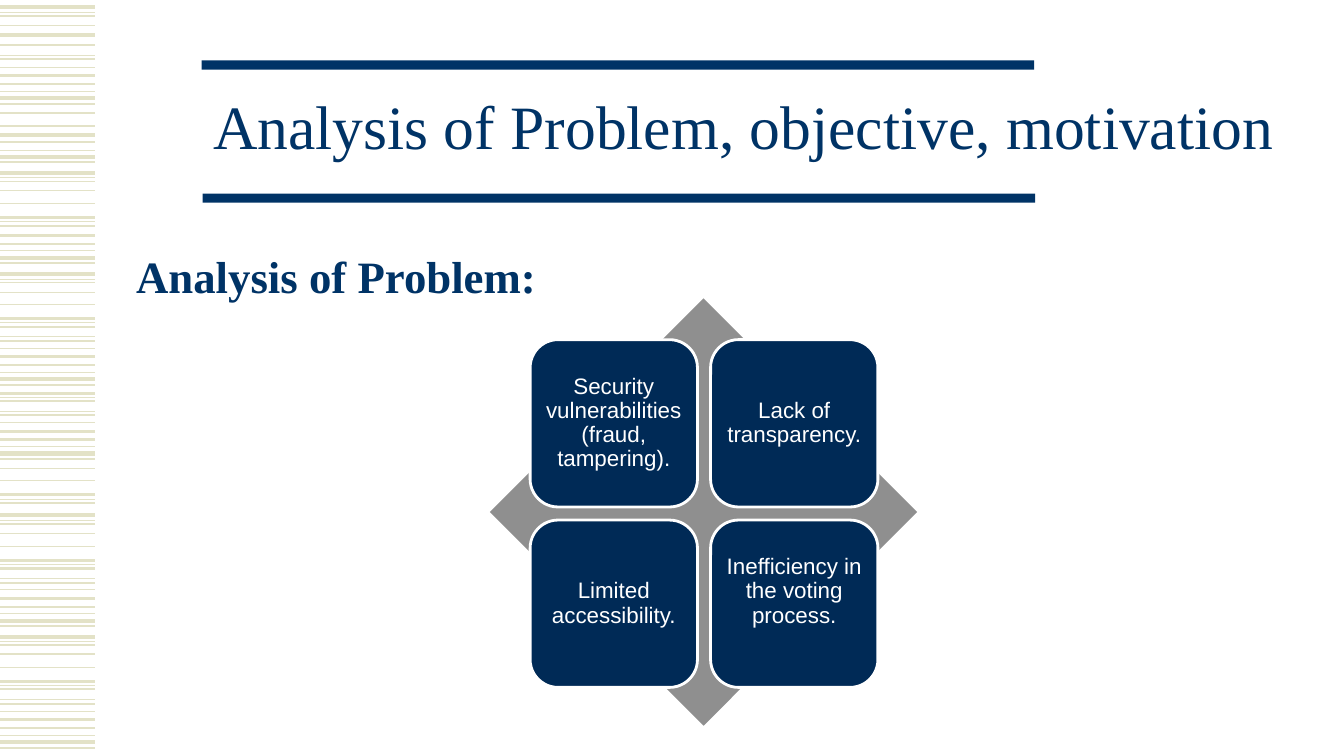
from lxml.etree import SubElement
from pptx import Presentation
from pptx.dml.color import RGBColor
from pptx.enum.shapes import MSO_CONNECTOR, MSO_SHAPE
from pptx.enum.text import MSO_ANCHOR, PP_ALIGN
from pptx.oxml.ns import qn
from pptx.util import Pt

# Content
TITLE = "Analysis of Problem, objective, motivation"
HEADING = "Analysis of Problem:"
# (text, space kept free below it in px)
PROBLEMS = [
    ("Security vulnerabilities (fraud, tampering).", 0),
    ("Lack of transparency.", 0),
    ("Limited accessibility.", 0),
    ("Inefficiency in the voting process.", 24),
]
# Stripe heights on the slide, by line width in points
STRIPES = {
    3: [7, 35, 97, 156, 172, 256, 272, 376, 450, 511, 616, 632, 736],
    2.25: [75, 134, 216, 234, 316, 354, 390, 428, 491, 556, 594, 676, 714],
    1.5: [45, 59, 83, 103, 141, 161, 224, 242, 261, 324, 338, 362, 382,
          398, 412, 436, 455, 499, 564, 578, 602, 621, 684, 698, 722, 742],
    1: [16, 25, 67, 112, 125, 180, 189, 202, 280, 290, 302, 346,
        419, 465, 477, 520, 529, 542, 585, 640, 649, 662, 706],
    0.75: [12, 55, 91, 149, 176, 220, 249, 277, 320, 334, 370, 394,
           408, 443, 496, 516, 560, 574, 609, 636, 680, 694, 730],
}
RULES = [(200, 60), (201, 192)]

# Layout: 100 px to the inch
PX = 9144
STRIPE_W = 94
RULE_W, RULE_H = 826, 9
DIAMOND = (486, 296, 424, 424)
TILE_X, TILE_Y, TILE, PITCH = 526, 337, 166, 179

NAVY = RGBColor(0x00, 0x33, 0x66)
DARK_NAVY = RGBColor(0x00, 0x2A, 0x56)
GRAY = RGBColor(0x8F, 0x8F, 0x8F)
SAND = RGBColor(0xE3, 0xE2, 0xC7)
WHITE = RGBColor(0xFF, 0xFF, 0xFF)

prs = Presentation()
prs.slide_width, prs.slide_height = 12192000, 6858000
s = prs.slides.add_slide(prs.slide_layouts[6])


def box(kind, x, y, w, h, fill):
    sp = s.shapes.add_shape(kind, x * PX, y * PX, w * PX, h * PX)
    sp.shadow.inherit = False
    sp.fill.solid()
    sp.fill.fore_color.rgb = fill
    sp.line.fill.background()
    return sp


def write(sp, text, font, size, color, margin, anchor, bold=False):
    tf = sp.text_frame
    tf.word_wrap = True
    tf.vertical_anchor = anchor
    tf.margin_left = tf.margin_right = margin * PX
    tf.margin_top = tf.margin_bottom = margin * PX
    p = tf.paragraphs[0]
    p.text = text
    p.font.name, p.font.size, p.font.bold = font, Pt(size), bold
    p.font.color.rgb = color
    return p


def text_box(x, y, w, h, *style, **options):
    sp = s.shapes.add_textbox(x * PX, y * PX, w * PX, h * PX)
    return write(sp, *style, **options)


# Striped left edge
for width, heights in STRIPES.items():
    for y in heights:
        stripe = s.shapes.add_connector(
            MSO_CONNECTOR.STRAIGHT, 0, y * PX, STRIPE_W * PX, y * PX)
        stripe.line.color.rgb = SAND
        stripe.line.width = Pt(width)
        SubElement(stripe._element.spPr, qn("a:effectLst"))

# Title between two rules
for x, y in RULES:
    box(MSO_SHAPE.RECTANGLE, x, y, RULE_W, RULE_H, NAVY)
p = text_box(200, 67, 1076, 125, TITLE, "Times New Roman", 44, NAVY, 5,
             MSO_ANCHOR.MIDDLE)
p.alignment = PP_ALIGN.CENTER
p.line_spacing = 0.85

# Heading
p = text_box(130, 242, 1148, 424, HEADING, "Times New Roman", 32, NAVY, 5,
             MSO_ANCHOR.TOP, bold=True)
p.space_before = Pt(3)

# Diamond with a two by two grid of problems
box(MSO_SHAPE.DIAMOND, *DIAMOND, GRAY)
for i, (text, free_below) in enumerate(PROBLEMS):
    row, col = divmod(i, 2)
    tile = box(MSO_SHAPE.ROUNDED_RECTANGLE, TILE_X + col * PITCH,
               TILE_Y + row * PITCH, TILE, TILE, DARK_NAVY)
    tile.line.color.rgb = WHITE
    tile.line.width = Pt(2)
    p = write(tile, text, "Arial", 16, WHITE, 7, MSO_ANCHOR.MIDDLE)
    p.alignment = PP_ALIGN.CENTER
    p.line_spacing = 0.9
    tile.text_frame.margin_bottom += free_below * PX

prs.save("out.pptx")
